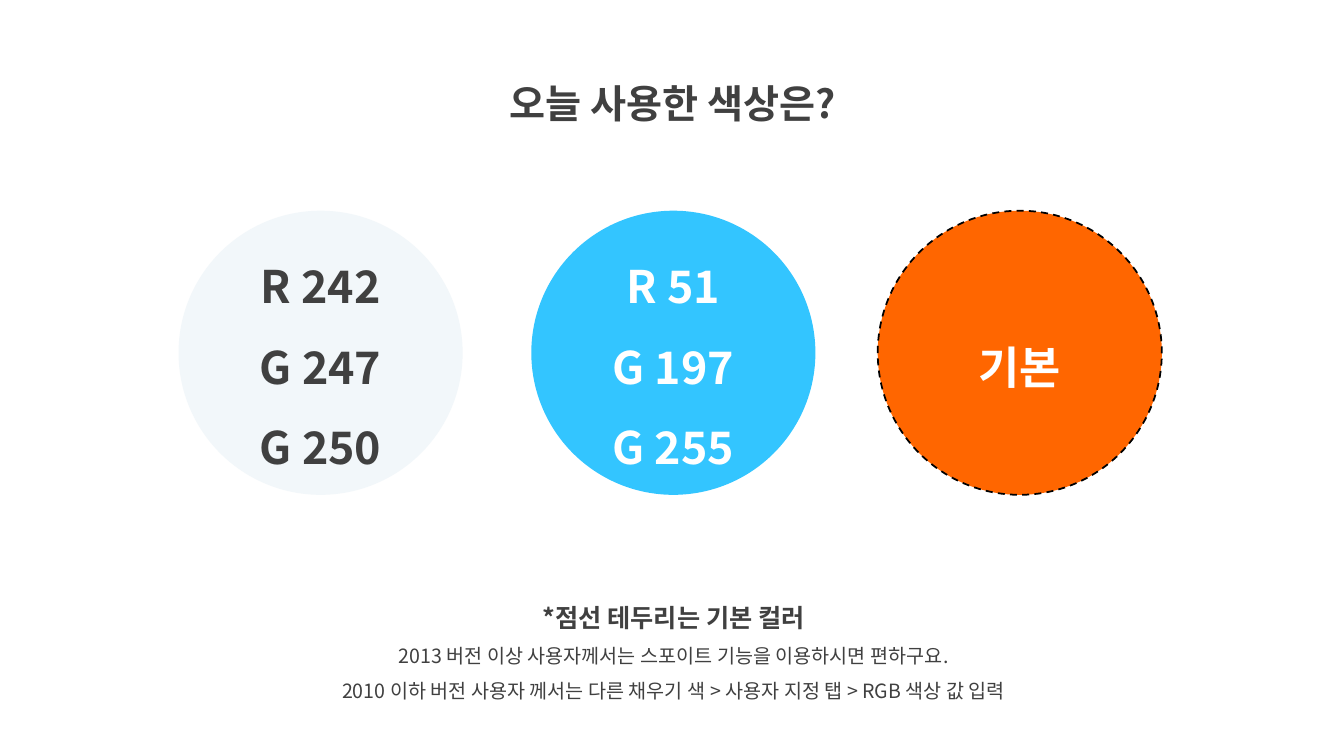
from dataclasses import dataclass

from lxml import etree
from pptx import Presentation
from pptx.dml.color import RGBColor
from pptx.enum.dml import MSO_LINE
from pptx.enum.shapes import MSO_SHAPE
from pptx.enum.text import MSO_ANCHOR, MSO_AUTO_SIZE, PP_ALIGN
from pptx.oxml.ns import qn
from pptx.util import Cm, Pt

OVAL = MSO_SHAPE.OVAL
DASH = MSO_LINE.DASH
TOP, MIDDLE = MSO_ANCHOR.TOP, MSO_ANCHOR.MIDDLE
GROW = MSO_AUTO_SIZE.SHAPE_TO_FIT_TEXT
CENTER = PP_ALIGN.CENTER


@dataclass(frozen=True)
class Theme:
    """Hold the font, colours and type sizes of the slide."""
    font: str = "Noto Sans CJK KR"
    dark: str = "404040"
    white: str = "FFFFFF"
    black: str = "000000"
    pale: str = "F2F7FA"
    blue: str = "33C5FF"
    orange: str = "FF6600"
    title: int = 28
    swatch: int = 32
    lead: int = 18
    note: int = 14


THEME = Theme()


def write(frame, lines):
    """Fill a text frame with centred (text, size, colour, bold) lines."""
    frame.word_wrap = True
    for i, (text, size, color, bold) in enumerate(lines):
        para = frame.paragraphs[0] if i == 0 else frame.add_paragraph()
        para.text = text
        para.alignment = CENTER
        para.line_spacing = 1.5
        para.space_before = Pt(0)
        props = para._p.get_or_add_pPr()
        props.set("marL", "0")
        props.set("indent", "0")
        etree.SubElement(props, qn("a:buNone"))
        font = para.font
        font.name = THEME.font
        font.size = Pt(size)
        font.bold = bold
        font.color.rgb = RGBColor.from_string(color)
        east = etree.SubElement(props.find(qn("a:defRPr")), qn("a:ea"))
        east.set("typeface", THEME.font)


def place(holder, box, lines):
    """Move a placeholder to its box and write its lines from the top."""
    holder.left, holder.top, holder.width, holder.height = map(Cm, box)
    frame = holder.text_frame
    write(frame, lines)
    frame.vertical_anchor = TOP
    frame.auto_size = GROW


def swatch(slide, box, fill, color, labels, dashed):
    """Draw one colour circle with its labels in the given box."""
    disc = slide.shapes.add_shape(OVAL, *map(Cm, box))
    disc.shadow.inherit = False
    disc.fill.solid()
    disc.fill.fore_color.rgb = RGBColor.from_string(fill)
    if dashed:
        disc.line.color.rgb = RGBColor.from_string(THEME.black)
        disc.line.width = Pt(1.25)
        disc.line.dash_style = DASH
    else:
        disc.line.fill.background()
    write(disc.text_frame, [(text, THEME.swatch, color, True) for text in labels])
    disc.text_frame.vertical_anchor = MIDDLE


def palette(slide, box):
    """Set the three colour circles in a row within the box."""
    left, top, size = box
    discs = (
        (0, THEME.pale, THEME.dark, ("R 242", "G 247", "G 250"), False),
        (8.89, THEME.blue, THEME.white, ("R 51", "G 197", "G 255"), False),
        (17.62, THEME.orange, THEME.white, ("기본",), True),
    )
    for shift, *style in discs:
        swatch(slide, (left + shift, top, size, size), *style)


def main():
    """Build the colour slide and save it."""
    deck = Presentation()
    deck.slide_width, deck.slide_height = Cm(33.87), Cm(19.05)
    slide = deck.slides.add_slide(deck.slide_layouts[1])
    place(slide.shapes.title, (11.07, 1.27, 11.76, 1.83),
          [("오늘 사용한 색상은?", THEME.title, THEME.dark, True)])
    place(slide.placeholders[1], (6.83, 14.66, 20.29, 3.2), [
        ("*점선 테두리는 기본 컬러", THEME.lead, THEME.dark, True),
        ("2013 버전 이상 사용자께서는 스포이트 기능을 이용하시면 편하구요.",
         THEME.note, THEME.dark, False),
        ("2010 이하 버전 사용자 께서는 다른 채우기 색 > 사용자 지정 탭 > RGB 색상 값 입력",
         THEME.note, THEME.dark, False),
    ])
    palette(slide, (4.5, 5.31, 7.16))
    deck.save("out.pptx")


if __name__ == "__main__":
    main()
